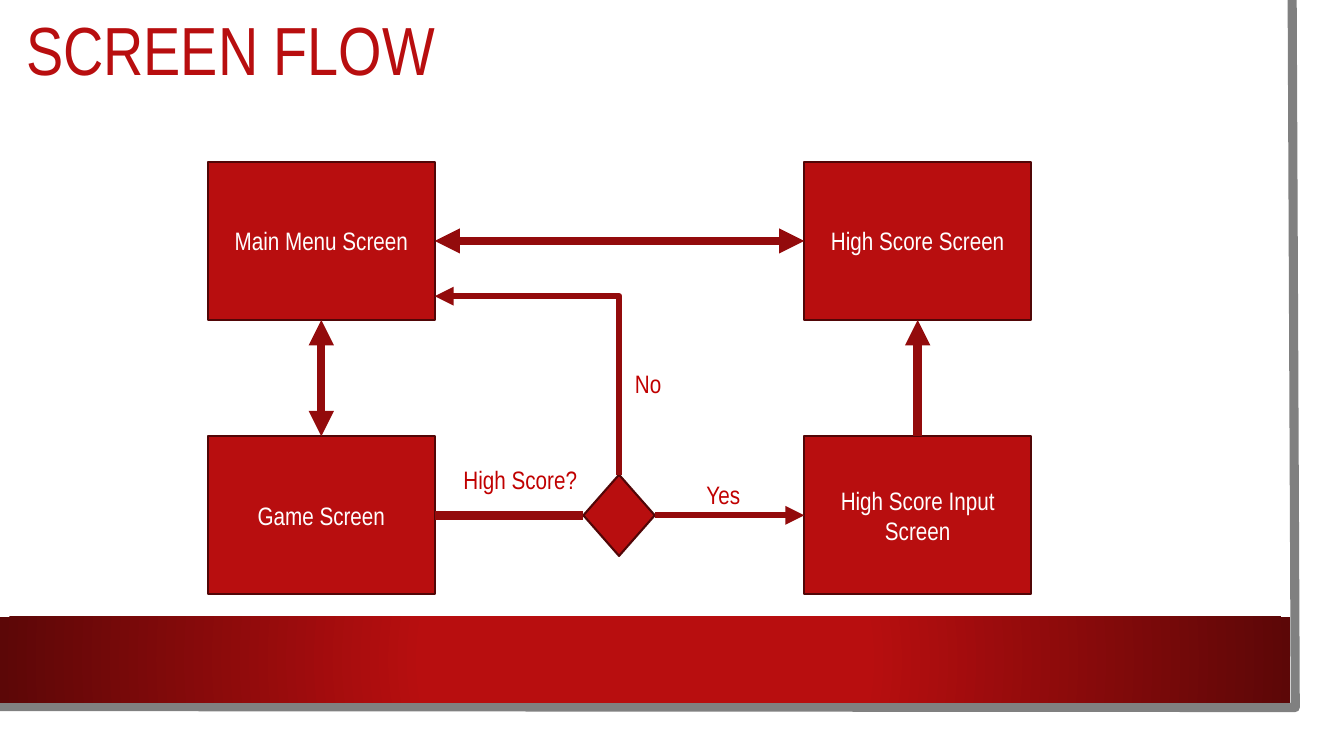
from lxml import etree
from pptx import Presentation
from pptx.dml.color import RGBColor
from pptx.enum.shapes import MSO_CONNECTOR, MSO_SHAPE
from pptx.enum.text import MSO_ANCHOR, MSO_AUTO_SIZE, PP_ALIGN
from pptx.oxml import parse_xml
from pptx.oxml.ns import nsdecls, qn
from pptx.util import Pt

RECTANGLE, DIAMOND = MSO_SHAPE.RECTANGLE, MSO_SHAPE.DIAMOND
STRAIGHT, ELBOW = MSO_CONNECTOR.STRAIGHT, MSO_CONNECTOR.ELBOW
LEFT, CENTER = PP_ALIGN.LEFT, PP_ALIGN.CENTER
MIDDLE = MSO_ANCHOR.MIDDLE
NO_FIT, GROW = MSO_AUTO_SIZE.NONE, MSO_AUTO_SIZE.SHAPE_TO_FIT_TEXT

COLORS = {
    "red": "B80E0F",
    "dark": "5C0707",
    "outline": "510607",
    "arrow": "930B0C",
    "label": "C00000",
    "frame": "808080",
    "white": "FFFFFF",
}
FONT = "Arial Narrow"
TOP, SIDE_LEFT, BOTTOM, SIDE_RIGHT = range(4)
COLUMNS = (148.5, 574.5)
ROWS = (115.6, 311.6)
BOX_WIDTH, BOX_HEIGHT = 162, 113


def color(name):
    return RGBColor.from_string(COLORS[name])


def format_text(frame, size, name, align=LEFT):
    for para in frame.paragraphs:
        para.alignment = align
        for span in para.runs:
            span.font.size = Pt(size)
            span.font.name = FONT
            span.font.color.rgb = color(name)


def add_frame_line(page):
    builder = page.shapes.build_freeform(Pt(923), 0)
    builder.add_line_segments([(Pt(925.2), Pt(505.4)), (Pt(-2.2), Pt(504.7))], close=False)
    edge = builder.convert_to_shape()
    edge.shadow.inherit = False
    edge.fill.background()
    edge.line.color.rgb = color("frame")
    edge.line.width = Pt(6.5)


def add_band(page):
    band = page.shapes.add_shape(RECTANGLE, 0, Pt(440.6), Pt(921.6), Pt(61.4))
    band.shadow.inherit = False
    band.line.fill.background()
    band.fill.gradient()
    gradient = band.fill._xPr.find(qn("a:gradFill"))
    gradient.getparent().replace(gradient, parse_xml(
        f'<a:gradFill {nsdecls("a")}><a:gsLst>'
        f'<a:gs pos="34000"><a:srgbClr val="{COLORS["red"]}"/></a:gs>'
        f'<a:gs pos="100000"><a:srgbClr val="{COLORS["dark"]}"/></a:gs>'
        '</a:gsLst><a:path path="circle">'
        '<a:fillToRect l="50000" t="50000" r="50000" b="50000"/>'
        '</a:path></a:gradFill>'))


def set_title(page, text):
    title = page.shapes.title
    title.left, title.top, title.width, title.height = Pt(11.5), Pt(8.6), Pt(818.6), Pt(59.8)
    frame = title.text_frame
    frame.text = text
    frame.auto_size = NO_FIT
    frame.vertical_anchor = MIDDLE
    frame.paragraphs[0].line_spacing = 0.9
    format_text(frame, 48.6, "red")


def add_node(page, kind, left, top, width, height, text=""):
    node = page.shapes.add_shape(kind, Pt(left), Pt(top), Pt(width), Pt(height))
    node.shadow.inherit = False
    node.fill.solid()
    node.fill.fore_color.rgb = color("red")
    node.line.color.rgb = color("outline")
    node.line.width = Pt(1.5)
    if text:
        node.text_frame.text = text
        node.text_frame.vertical_anchor = MIDDLE
        format_text(node.text_frame, 18, "white", CENTER)
    return node


def add_screen(page, column, row, text):
    return add_node(page, RECTANGLE, COLUMNS[column], ROWS[row], BOX_WIDTH, BOX_HEIGHT, text)


def add_label(page, left, top, width, text):
    box = page.shapes.add_textbox(Pt(left), Pt(top), Pt(width), Pt(29))
    box.text_frame.word_wrap = True
    box.text_frame.auto_size = GROW
    box.text_frame.text = text
    format_text(box.text_frame, 18, "label")


def style_connector(connector, width, ends):
    connector.line.color.rgb = color("arrow")
    connector.line.width = Pt(width)
    line = connector.line._get_or_add_ln()
    for end in ends:
        etree.SubElement(line, qn(f"a:{end}"), type="triangle")
    etree.SubElement(connector._element.spPr, qn("a:effectLst"))


def link(page, start, start_site, end, end_site, width, ends=()):
    connector = page.shapes.add_connector(STRAIGHT, 0, 0, 0, 0)
    connector.begin_connect(start, start_site)
    connector.end_connect(end, end_site)
    style_connector(connector, width, ends)


def add_return_arrow(page, start_x, start_y, end_x, end_y):
    middle_x, middle_y = (start_x + end_x) / 2, (start_y + end_y) / 2
    half_rise, half_run = (start_y - end_y) / 2, (start_x - end_x) / 2
    connector = page.shapes.add_connector(
        ELBOW, Pt(middle_x - half_rise), Pt(middle_y + half_run),
        Pt(middle_x + half_rise), Pt(middle_y - half_run))
    properties = connector._element.spPr
    properties.find(qn("a:xfrm")).set("rot", "16200000")
    properties.find(qn("a:prstGeom")).set("prst", "bentConnector2")
    style_connector(connector, 4.5, ("tailEnd",))


def main():
    deck = Presentation()
    deck.slide_width, deck.slide_height = Pt(960), Pt(540)
    page = deck.slides.add_slide(deck.slide_layouts[5])
    add_frame_line(page)
    add_band(page)
    set_title(page, "SCREEN FLOW")

    menu = add_screen(page, 0, 0, "Main Menu Screen")
    scores = add_screen(page, 1, 0, "High Score Screen")
    game = add_screen(page, 0, 1, "Game Screen")
    entry = add_screen(page, 1, 1, "High Score Input Screen")
    decision = add_node(page, DIAMOND, 416.7, 339.1, 51, 58)

    both = ("headEnd", "tailEnd")
    forward = ("tailEnd",)
    link(page, menu, SIDE_RIGHT, scores, SIDE_LEFT, 6, both)
    link(page, menu, BOTTOM, game, TOP, 6, both)
    link(page, entry, TOP, scores, BOTTOM, 6, forward)
    link(page, decision, SIDE_RIGHT, entry, SIDE_LEFT, 4.5, forward)
    link(page, game, SIDE_RIGHT, decision, SIDE_LEFT, 6)
    add_return_arrow(page, 442.2, 339.1, 310.5, 211.6)

    add_label(page, 324, 328.3, 116, "High Score?")
    add_label(page, 497.5, 339.1, 51, "Yes")
    add_label(page, 446.4, 259.2, 51, "No")
    deck.save("out.pptx")


if __name__ == "__main__":
    main()
